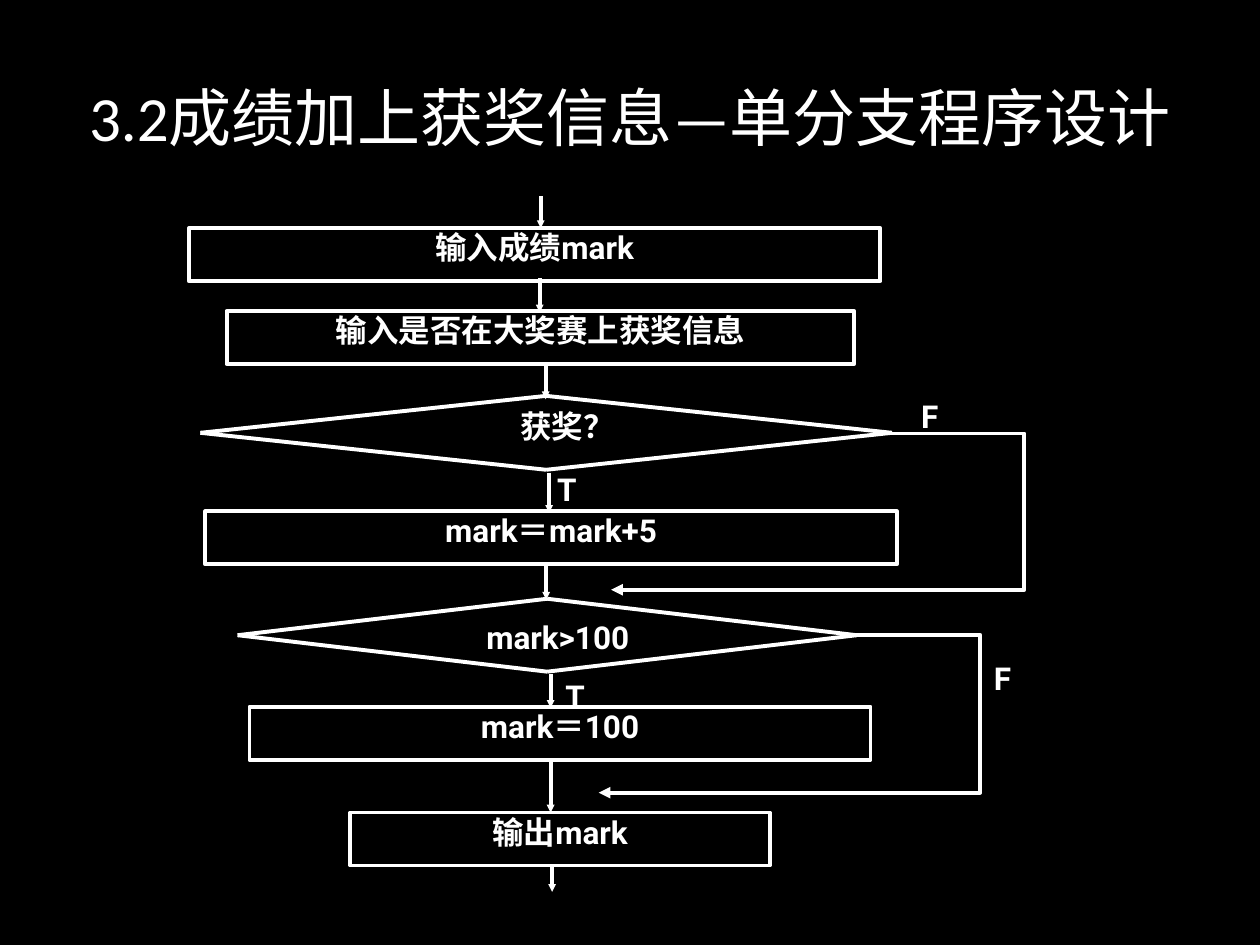
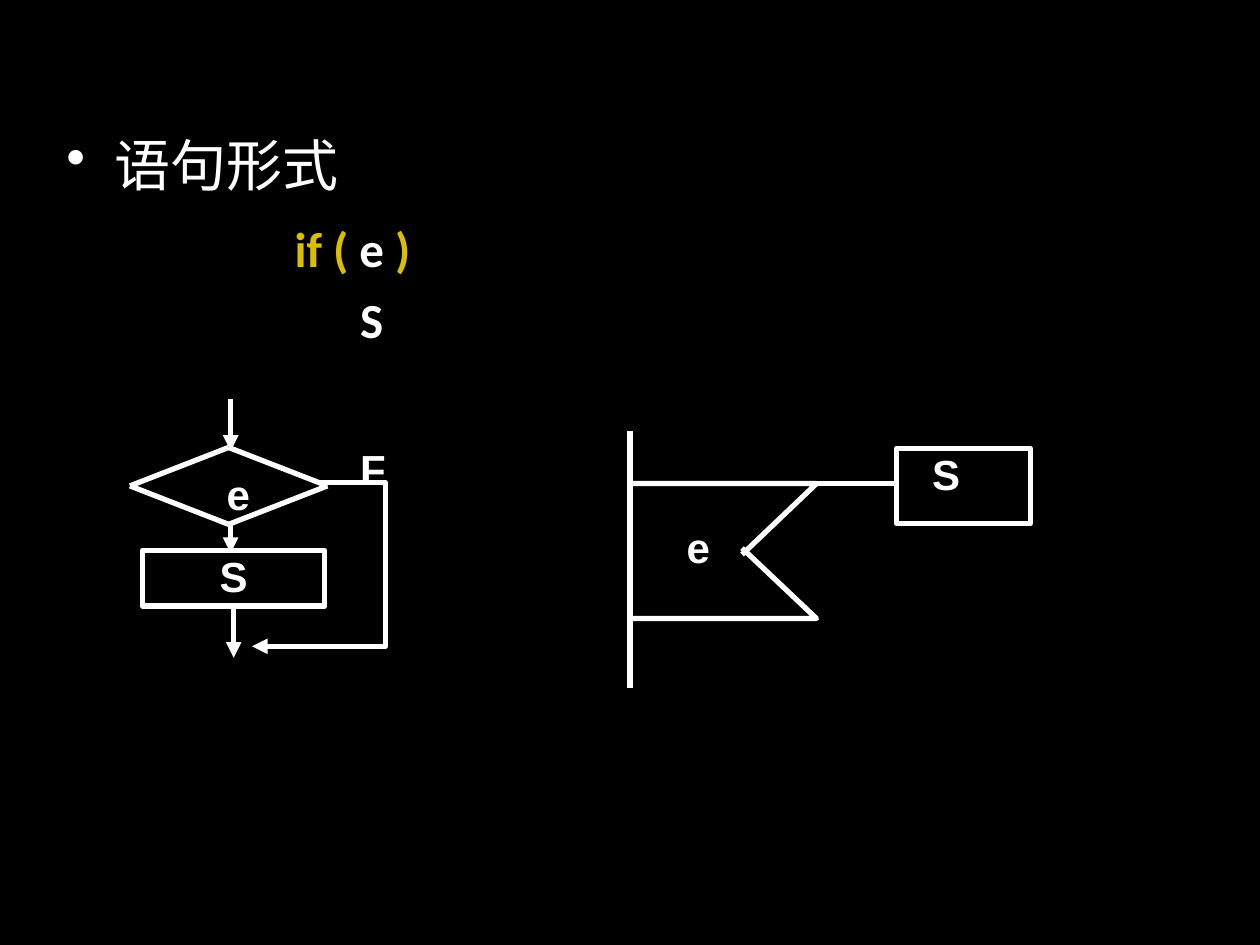
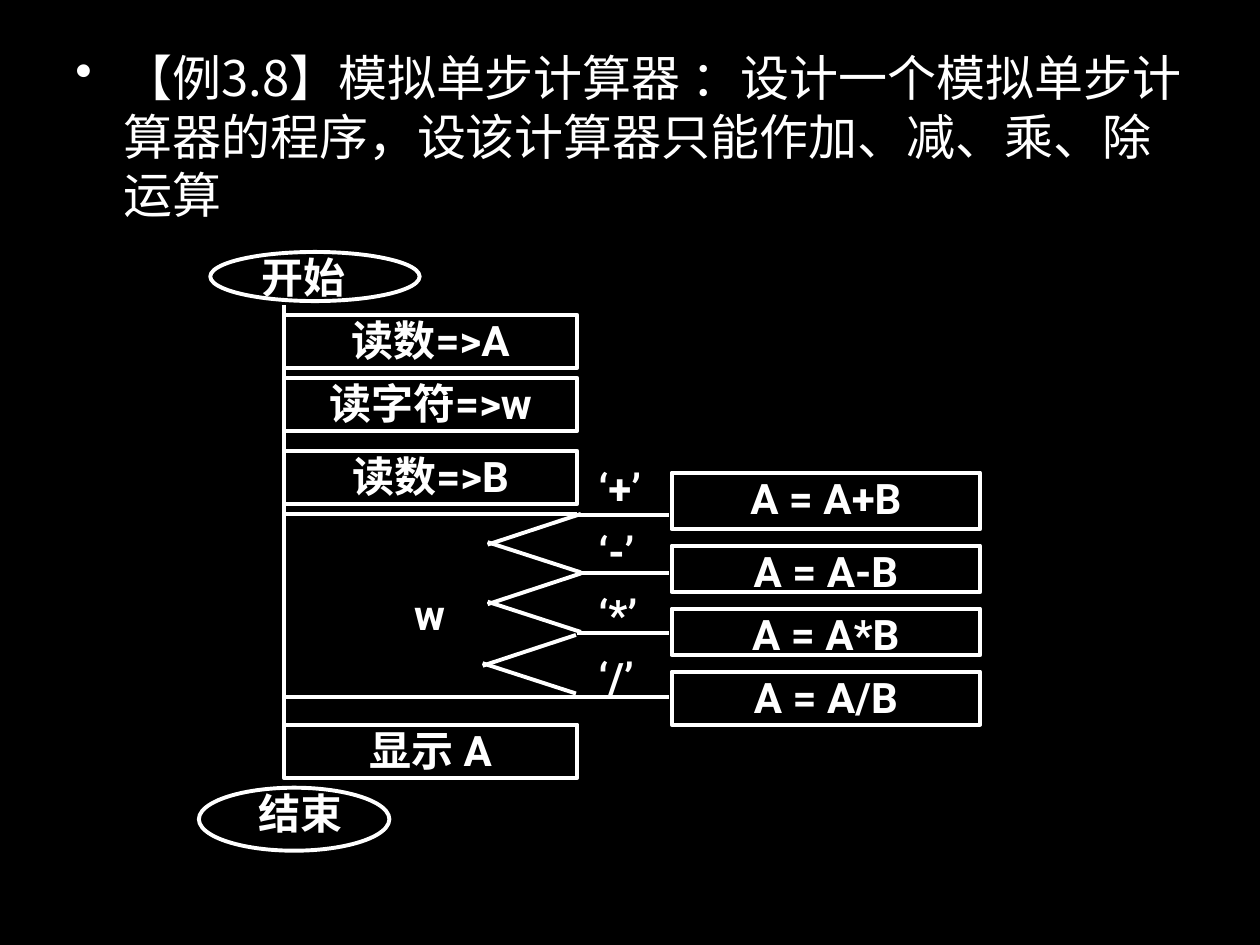
"""Build three slides on single-branch and multi-branch program flow."""
from dataclasses import dataclass

from lxml import etree
from pptx import Presentation
from pptx import util as u
from pptx.dml.color import RGBColor
from pptx.enum import shapes, text
from pptx.oxml.ns import qn

COLORS = {"background": "000000", "ink": "FFFFFF", "keyword": "D9BE02"}
CENTER = text.PP_ALIGN.CENTER
JUSTIFY = text.PP_ALIGN.JUSTIFY
RECTANGLE = shapes.MSO_SHAPE.RECTANGLE
ELLIPSE = shapes.MSO_SHAPE.OVAL


@dataclass(frozen=True)
class Style:
    size: float
    font: str
    bold: bool = True
    color: str = "ink"


@dataclass(frozen=True)
class Chart:
    slide: object
    style: Style
    weight: float
    arrow: str = "med"


@dataclass(frozen=True)
class Box:
    words: str
    left: float
    top: float
    width: float
    height: float
    geometry: object = None
    align: object = CENTER
    inset: float = 0


@dataclass(frozen=True)
class Line:
    x1: float
    y1: float
    x2: float
    y2: float
    arrow: bool = False


def add_slide(presentation):
    """Add a blank slide with the shared background."""
    slide = presentation.slides.add_slide(presentation.slide_layouts[6])
    slide.background.fill.solid()
    slide.background.fill.fore_color.rgb = RGBColor.from_string(COLORS["background"])
    return slide


def add_run(paragraph, words: str, style: Style) -> None:
    """Append one styled run, with one font for every script."""
    run = paragraph.add_run()
    run.text = words
    run.font.size = u.Pt(style.size)
    run.font.bold = style.bold
    run.font.name = style.font
    run.font.color.rgb = RGBColor.from_string(COLORS[style.color])
    etree.SubElement(run.font._element, qn("a:ea"), typeface=style.font)


def add_text_frame(slide, left: float, top: float, width: float, height: float):
    """Add a wrapping text box and return its frame."""
    shape = slide.shapes.add_textbox(u.Cm(left), u.Cm(top), u.Cm(width), u.Cm(height))
    shape.text_frame.word_wrap = True
    return shape.text_frame


def set_indent(paragraph, margin: float, bullet: str = "") -> None:
    """Indent a paragraph, hanging it from a bullet if one is given."""
    properties = paragraph._p.get_or_add_pPr()
    properties.set("marL", str(u.Cm(margin)))
    properties.set("indent", str(u.Cm(-margin if bullet else 0)))
    if bullet:
        color = etree.SubElement(properties, qn("a:buClr"))
        etree.SubElement(color, qn("a:srgbClr"), val=COLORS["ink"])
        etree.SubElement(properties, qn("a:buChar"), char=bullet)


def set_outline(shape, weight: float, arrow: str = "") -> None:
    """Give a shape the shared line, with an arrowhead of the given size."""
    shape.line.color.rgb = RGBColor.from_string(COLORS["ink"])
    shape.line.width = u.Pt(weight)
    if arrow:
        etree.SubElement(shape.line._get_or_add_ln(), qn("a:tailEnd"),
                         type="triangle", w=arrow, len=arrow)


def draw_box(chart: Chart, box: Box) -> None:
    """Draw a label, or an outlined shape with its words."""
    if box.geometry is None:
        frame = add_text_frame(chart.slide, box.left, box.top, box.width, box.height)
    else:
        shape = chart.slide.shapes.add_shape(
            box.geometry, u.Cm(box.left), u.Cm(box.top), u.Cm(box.width), u.Cm(box.height))
        shape.shadow.inherit = False
        shape.fill.background()
        set_outline(shape, chart.weight)
        frame = shape.text_frame
    if box.words:
        frame.word_wrap = True
        frame.vertical_anchor = text.MSO_ANCHOR.TOP
        frame.margin_top = frame.margin_right = frame.margin_bottom = 0
        frame.margin_left = u.Cm(box.inset)
        frame.paragraphs[0].alignment = box.align
        add_run(frame.paragraphs[0], box.words, chart.style)


def draw_line(chart: Chart, line: Line) -> None:
    """Draw a straight connector."""
    connector = chart.slide.shapes.add_connector(
        shapes.MSO_CONNECTOR.STRAIGHT,
        u.Cm(line.x1), u.Cm(line.y1), u.Cm(line.x2), u.Cm(line.y2))
    set_outline(connector, chart.weight, chart.arrow if line.arrow else "")
    etree.SubElement(connector._element.spPr, qn("a:effectLst"))


def draw_arrow_down(chart: Chart, x: float, top: float, bottom: float) -> None:
    """Draw a vertical flow arrow."""
    draw_line(chart, Line(x, top, x, bottom, arrow=True))


def draw_diamond(chart: Chart, left: float, top: float, right: float, bottom: float) -> None:
    """Draw a decision diamond from four lines."""
    middle_x, middle_y = (left + right) / 2, (top + bottom) / 2
    for y in (top, bottom):
        for x in (left, right):
            draw_line(chart, Line(middle_x, y, x, middle_y))


def draw_polyline(chart: Chart, points: list, arrow: str = "") -> None:
    """Draw an open, unfilled outline through the points."""
    start, *others = [(u.Cm(x), u.Cm(y)) for x, y in points]
    builder = chart.slide.shapes.build_freeform(*start, scale=1.0)
    builder.add_line_segments(others, close=False)
    shape = builder.convert_to_shape()
    shape.shadow.inherit = False
    shape.fill.background()
    set_outline(shape, chart.weight, arrow)


def draw_bypass(chart: Chart, start: float, top: float, right: float,
                bottom: float, end: float) -> None:
    """Draw the false branch around a step."""
    draw_polyline(chart, [(start, top), (right, top), (right, bottom), (end, bottom)], "med")


def build_award_slide(presentation) -> None:
    """Draw the mark and award flow chart."""
    slide = add_slide(presentation)
    frame = add_text_frame(slide, 1.27, 0.76, 22.86, 3.18)
    frame.vertical_anchor = text.MSO_ANCHOR.MIDDLE
    frame.paragraphs[0].alignment = CENTER
    add_run(frame.paragraphs[0], "3.2成绩加上获奖信息—单分支程序设计",
            Style(36, "Calibri", bold=False))

    chart = Chart(slide, Style(18, "Roboto"), 2.25, "sm")
    for diamond in ((4.04, 7.98, 17.98, 9.47), (4.79, 12.07, 17.27, 13.54)):
        draw_diamond(chart, *diamond)
    for words, left, top, width in (
        ("输入成绩mark", 3.81, 4.6, 13.94),
        ("输入是否在大奖赛上获奖信息", 4.57, 6.27, 12.65),
        ("mark＝mark+5", 4.14, 10.31, 13.94),
        ("mark＝100", 5.03, 14.25, 12.52),
        ("输出mark", 7.06, 16.38, 8.46),
    ):
        draw_box(chart, Box(words, left, top, width, 1.07, RECTANGLE))
    for label in (
        Box("获奖？", 5.28, 8.2, 12.32, 0.86),
        Box("mark>100", 5.72, 12.45, 11.05, 0.86),
        Box("F", 16.94, 8, 3.61, 0.79),
        Box("F", 19.89, 13.28, 0.64, 0.79),
        Box("T", 11.23, 9.47, 2.34, 0.58, align=JUSTIFY),
        Box("T", 11.4, 13.64, 2.11, 0.61, align=JUSTIFY),
    ):
        draw_box(chart, label)
    for arrow in ((10.9, 3.96, 4.6), (10.88, 5.61, 6.3), (11, 7.34, 8.05),
                  (11.07, 9.53, 10.34), (11.01, 11.4, 12.09), (11.1, 13.59, 14.27),
                  (11.1, 15.34, 16.38), (11.13, 17.48, 17.98)):
        draw_arrow_down(chart, *arrow)
    draw_bypass(chart, 17.81, 8.74, 20.65, 11.89, 12.32)
    draw_bypass(chart, 17.15, 12.8, 19.76, 15.98, 12.07)


def build_statement_slide(presentation) -> None:
    """Show the if statement with its two diagrams."""
    slide = add_slide(presentation)
    frame = add_text_frame(slide, 1.09, 2.51, 22.61, 5.99)
    heading = frame.paragraphs[0]
    set_indent(heading, 0.97, "•")
    add_run(heading, "语句形式", Style(32, "Calibri", bold=False))
    code, keyword = Style(28, "Calibri"), Style(28, "Calibri", color="keyword")
    for margin, space, runs in (
        (4.6, 12, (("if (", keyword), (" e ", code), (")", keyword))),
        (5.92, 7, (("S", code),)),
    ):
        paragraph = frame.add_paragraph()
        set_indent(paragraph, margin)
        paragraph.space_before = u.Pt(space)
        for words, style in runs:
            add_run(paragraph, words, style)

    chart = Chart(slide, Style(24, "Arial"), 3)
    draw_diamond(chart, 2.62, 9.02, 6.6, 10.57)
    for box in (
        Box("e", 4.57, 9.45, 0.76, 0.99, align=JUSTIFY),
        Box("S", 2.87, 11.1, 3.68, 1.12, RECTANGLE),
        Box("F", 7.26, 8.94, 1.27, 0.71, align=JUSTIFY),
        Box("S", 18.08, 9.04, 2.69, 1.52, RECTANGLE, JUSTIFY, inset=0.71),
        Box("e", 13.84, 10.52, 0.99, 1.19, align=JUSTIFY),
    ):
        draw_box(chart, box)
    for arrow in ((4.65, 8.05, 9.09), (4.65, 10.59, 11.15), (4.71, 12.22, 13.26)):
        draw_arrow_down(chart, *arrow)
    draw_bypass(chart, 6.43, 9.73, 7.77, 13.03, 5.08)

    draw_line(chart, Line(12.7, 8.69, 12.7, 13.87))
    for edge, notch in ((12.47, 11.05), (9.75, 11.18)):
        draw_polyline(chart, [(12.7, edge), (16.46, edge), (14.96, notch)])
    draw_line(chart, Line(16.23, 9.75, 18.08, 9.75))


def build_calculator_slide(presentation) -> None:
    """Draw the one-step calculator with its four branches."""
    slide = add_slide(presentation)
    paragraph = add_text_frame(slide, 1.27, 0.84, 22.86, 16.18).paragraphs[0]
    set_indent(paragraph, 0.97, "•")
    paragraph.line_spacing = u.Pt(33.5)
    add_run(paragraph, "【例3.8】模拟单步计算器 ：设计一个模拟单步计算器的程序，"
            "设该计算器只能作加、减、乘、除运算", Style(28, "Noto Sans CJK SC", bold=False))

    chart = Chart(slide, Style(24, "Roboto"), 2.25)
    spine, branch = 5.72, 11.63
    for box in (
        Box("开始", 5.28, 5.08, 1.96, 0.76, align=JUSTIFY),
        Box("", 4.24, 5.08, 4.22, 0.99, ELLIPSE),
        Box("结束", 4.01, 15.88, 4.11, 0.84),
        Box("", 4.01, 15.88, 3.84, 1.27, ELLIPSE),
        Box("w", 6.78, 11.86, 3.76, 1.27),
    ):
        draw_box(chart, box)
    for words, top in (("读数=>A", 6.35), ("读字符=>w", 7.62),
                       ("读数=>B", 9.09), ("显示 A", 14.61)):
        draw_box(chart, Box(words, spine, top, 5.92, 1.07, RECTANGLE))
    draw_line(chart, Line(spine, 6.15, spine, 15.67))

    operations = (("+", 9.53, 1.14, 10.38), ("-", 11, 0.94, 11.56),
                  ("*", 12.27, 0.94, 12.76), ("/", 13.54, 1.07, 14.05))
    for index, (sign, top, height, level) in enumerate(operations):
        draw_box(chart, Box(f"‘{sign}’", 12.07, 9.32 + 1.27 * index, 1.88, 0.99,
                            align=JUSTIFY))
        draw_box(chart, Box(f"A = A{sign}B", 13.54, top, 6.22, height, RECTANGLE))
        draw_line(chart, Line(branch, level, 13.49, level))
    for level in (10.36, 14.05):
        draw_line(chart, Line(spine, level, branch, level))
    for right, top in ((11.71, 10.36), (11.71, 11.56), (11.61, 12.8)):
        for edge, tip in ((top, top + 0.62), (top + 1.18, top + 0.57)):
            draw_line(chart, Line(right, edge, right - 1.88, tip))


def main() -> None:
    """Build and save the presentation."""
    presentation = Presentation()
    presentation.slide_width, presentation.slide_height = u.Cm(25.4), u.Cm(19.05)
    build_award_slide(presentation)
    build_statement_slide(presentation)
    build_calculator_slide(presentation)
    presentation.save("out.pptx")


if __name__ == "__main__":
    main()
